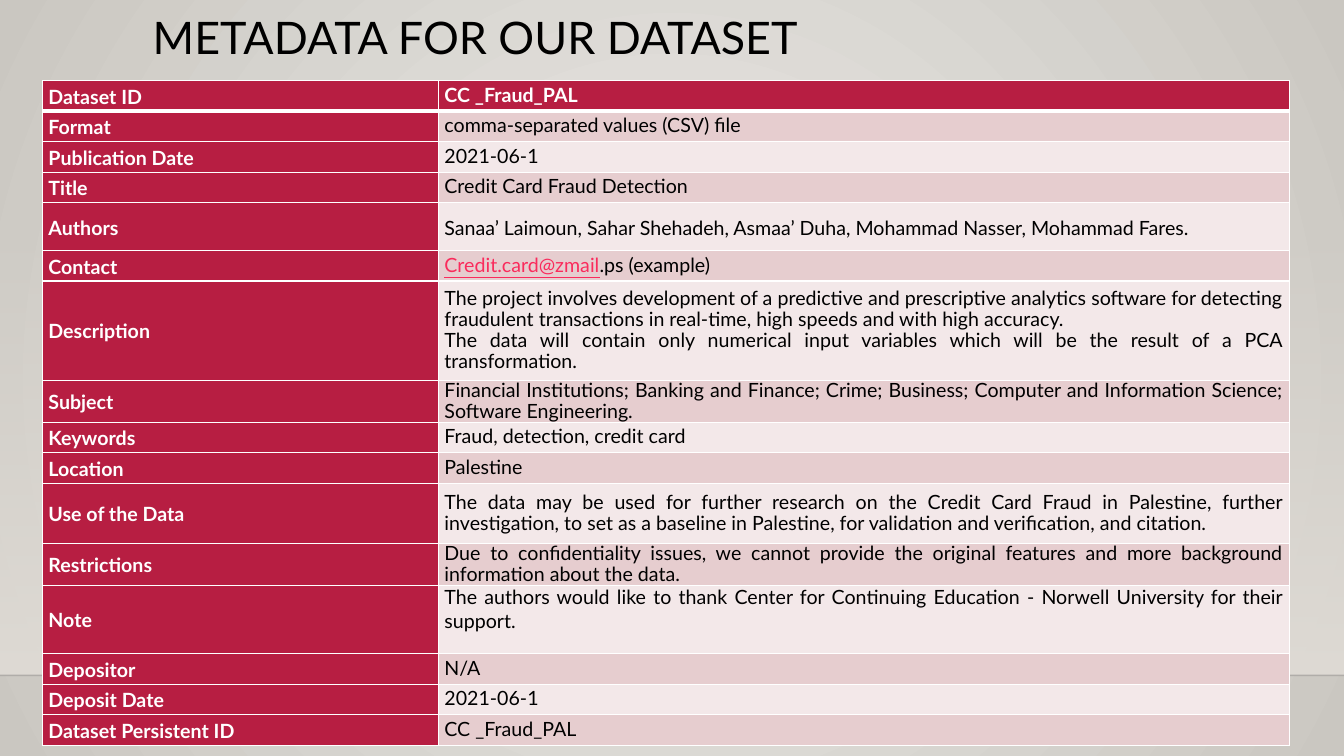
from dataclasses import dataclass

from lxml.etree import SubElement
from pptx import Presentation
from pptx.dml.color import RGBColor
from pptx.enum.shapes import MSO_CONNECTOR, MSO_SHAPE
from pptx.enum.text import MSO_ANCHOR, PP_ALIGN
from pptx.oxml.ns import qn
from pptx.util import Cm, Pt


@dataclass(frozen=True)
class TextStyle:
    size: float
    color: str
    bold: bool = False
    underline: bool = False


@dataclass(frozen=True)
class Theme:
    font: str = "Lato"
    accent: str = "B71E42"
    bands: tuple = ("F3E8E9", "E6CDCF")
    border: str = "FFFFFF"
    glow: tuple = ("ECEAE7", "CAC7C1")
    wall: str = "DFDBD5"
    floor_line: str = "000001"
    title: TextStyle = TextStyle(32, "000000")
    label: TextStyle = TextStyle(14, "FFFFFF", bold=True)
    body: TextStyle = TextStyle(14, "000000")
    link: TextStyle = TextStyle(14, "FA2B5C", underline=True)


def rgb(value):
    return RGBColor.from_string(value)


def set_alpha(color_parent, percent):
    clr = next(color_parent.iter(qn("a:srgbClr")))
    SubElement(clr, qn("a:alpha"), val=str(percent * 1000))


class SlideBuilder:
    def __init__(self, prs, theme):
        self.theme = theme
        self.s = prs.slides.add_slide(prs.slide_layouts[6])

    def gradient(self, fill, colors):
        fill.gradient()
        for position, (stop, color) in enumerate(zip(fill.gradient_stops, colors)):
            stop.color.rgb = rgb(color)
            stop.position = position

    def background(self):
        fill = self.s.background.fill
        self.gradient(fill, self.theme.glow)
        grad = next(self.s.background._cSld.iter(qn("a:gradFill")))
        grad.remove(grad.find(qn("a:lin")))
        circle = SubElement(grad, qn("a:path"), path="circle")
        SubElement(circle, qn("a:fillToRect"), l="50000", t="50000", r="50000", b="50000")

    def fading_band(self, x, y, w, h):
        sp = self.s.shapes.add_shape(MSO_SHAPE.RECTANGLE, x, y, w, h)
        sp.shadow.inherit = False
        sp.line.fill.background()
        self.gradient(sp.fill, (self.theme.wall, self.theme.wall))
        sp.fill.gradient_angle = 270  # counter-clockwise: fades in downwards
        set_alpha(next(sp._element.iter(qn("a:gs"))), 0)

    def line(self, x1, y1, x2, y2, color, width, opacity):
        cn = self.s.shapes.add_connector(MSO_CONNECTOR.STRAIGHT, x1, y1, x2, y2)
        cn.line.color.rgb = rgb(color)
        cn.line.width = Pt(width)
        set_alpha(cn.line._ln, opacity)
        SubElement(cn._element.spPr, qn("a:effectLst"))

    def add_run(self, p, text, style):
        r = p.add_run()
        r.text = text
        r.font.name = self.theme.font
        r.font.size = Pt(style.size)
        r.font.bold = style.bold
        r.font.underline = style.underline
        r.font.color.rgb = rgb(style.color)

    def text(self, x, y, w, h, text, style, spacing):
        tf = self.s.shapes.add_textbox(x, y, w, h).text_frame
        tf.word_wrap = True
        p = tf.paragraphs[0]
        p.line_spacing = spacing
        self.add_run(p, text, style)

    def cell(self, cell, paragraphs, fill, spacing, top=1, bottom=1, pad_bottom=0):
        """Fill a cell; each paragraph is a list of (text, style) runs."""
        tc_pr = cell._tc.get_or_add_tcPr()
        for side, width in zip("LRTB", (1, 1, top, bottom)):
            ln = SubElement(tc_pr, qn(f"a:ln{side}"), w=str(Pt(width)))
            solid = SubElement(ln, qn("a:solidFill"))
            SubElement(solid, qn("a:srgbClr"), val=self.theme.border)
        cell.fill.solid()
        cell.fill.fore_color.rgb = rgb(fill)
        cell.vertical_anchor = MSO_ANCHOR.MIDDLE
        cell.margin_left = cell.margin_right = Cm(0.15)
        cell.margin_top, cell.margin_bottom = 0, Pt(pad_bottom)
        tf = cell.text_frame
        for i, runs in enumerate(paragraphs):
            p = tf.add_paragraph() if i else tf.paragraphs[0]
            p.alignment = PP_ALIGN.JUSTIFY
            p.line_spacing = spacing
            for text, style in runs:
                self.add_run(p, text, style)

    def metadata_table(self, x, y, widths, rows):
        th = self.theme
        total = sum(row.height for row in rows)
        table = self.s.shapes.add_table(len(rows), 2, x, y, sum(widths), Cm(total)).table
        for column, width in zip(table.columns, widths):
            column.width = width
        for i, row in enumerate(rows):
            table.rows[i].height = Cm(row.height)
            edges = {"top": 3 if i == 1 else 1, "bottom": 3 if i == 0 else 1}
            self.cell(table.cell(i, 0), [[(row.label, th.label)]], th.accent, Pt(18), **edges)
            style = th.body if i else th.label
            paragraphs = [[(v, style)] if isinstance(v, str) else v for v in row.values]
            fill = th.bands[i % 2] if i else th.accent
            self.cell(table.cell(i, 1), paragraphs, fill, row.spacing,
                      pad_bottom=row.pad_bottom, **edges)


@dataclass
class Row:
    label: str
    values: list
    height: float = 0.77  # cm
    spacing: float = Pt(15)
    pad_bottom: float = 0


theme = Theme()
rows = [
    Row("Dataset ID", ["CC _Fraud_PAL"]),
    Row("Format", ["comma-separated values (CSV) file"]),
    Row("Publication Date", ["2021-06-1"]),
    Row("Title", ["Credit Card Fraud Detection"]),
    Row("Authors", ["Sanaa’ Laimoun, Sahar Shehadeh, Asmaa’ Duha, "
                    "Mohammad Nasser, Mohammad Fares."], 1.2, Pt(18)),
    Row("Contact", [[("Credit.card@zmail", theme.link), (".ps (example)", theme.body)]]),
    Row("Description", [
        "The project involves development of a predictive and prescriptive analytics software "
        "for detecting fraudulent transactions in real-time, high speeds and with high accuracy.",
        "The data will contain only numerical input variables which will be the result of "
        "a PCA transformation."], 2.5),
    Row("Subject", ["Financial Institutions; Banking and Finance; Crime; Business; "
                    "Computer and Information Science; Software Engineering."], 1.06),
    Row("Keywords", ["Fraud, detection, credit card"]),
    Row("Location", ["Palestine"]),
    Row("Use of the Data", [
        "The data may be used for further research on the Credit Card Fraud in Palestine, "
        "further investigation, to set as a baseline in Palestine, for validation and "
        "verification, and citation."], 1.51),
    Row("Restrictions", ["Due to confidentiality issues, we cannot provide the original "
                         "features and more background information about the data."], 1.06),
    Row("Note", ["The authors would like to thank Center for Continuing Education - "
                 "Norwell University for their support."], 1.72, 1.0, 15),
    Row("Depositor", ["N/A"]),
    Row("Deposit Date", ["2021-06-1"]),
    Row("Dataset Persistent ID", ["CC _Fraud_PAL"]),
]

prs = Presentation()
prs.slide_width, prs.slide_height = Cm(33.87), Cm(19.05)
slide = SlideBuilder(prs, theme)

# Backdrop: glowing wall above a floor line
floor_y = Cm(17.02)
wall_y = Cm(5.61)
slide.background()
slide.fading_band(0, wall_y, prs.slide_width, floor_y - wall_y)
slide.line(0, floor_y, prs.slide_width, floor_y, theme.floor_line, 1, 20)

# Title
slide.text(Cm(3.6), Cm(0.28), Cm(26.67), Cm(1.6), "METADATA FOR OUR DATASET", theme.title, 0.9)

# Metadata table
slide.metadata_table(Cm(1.07), Cm(2.03), (Cm(9.98), Cm(21.44)), rows)

prs.save("out.pptx")
